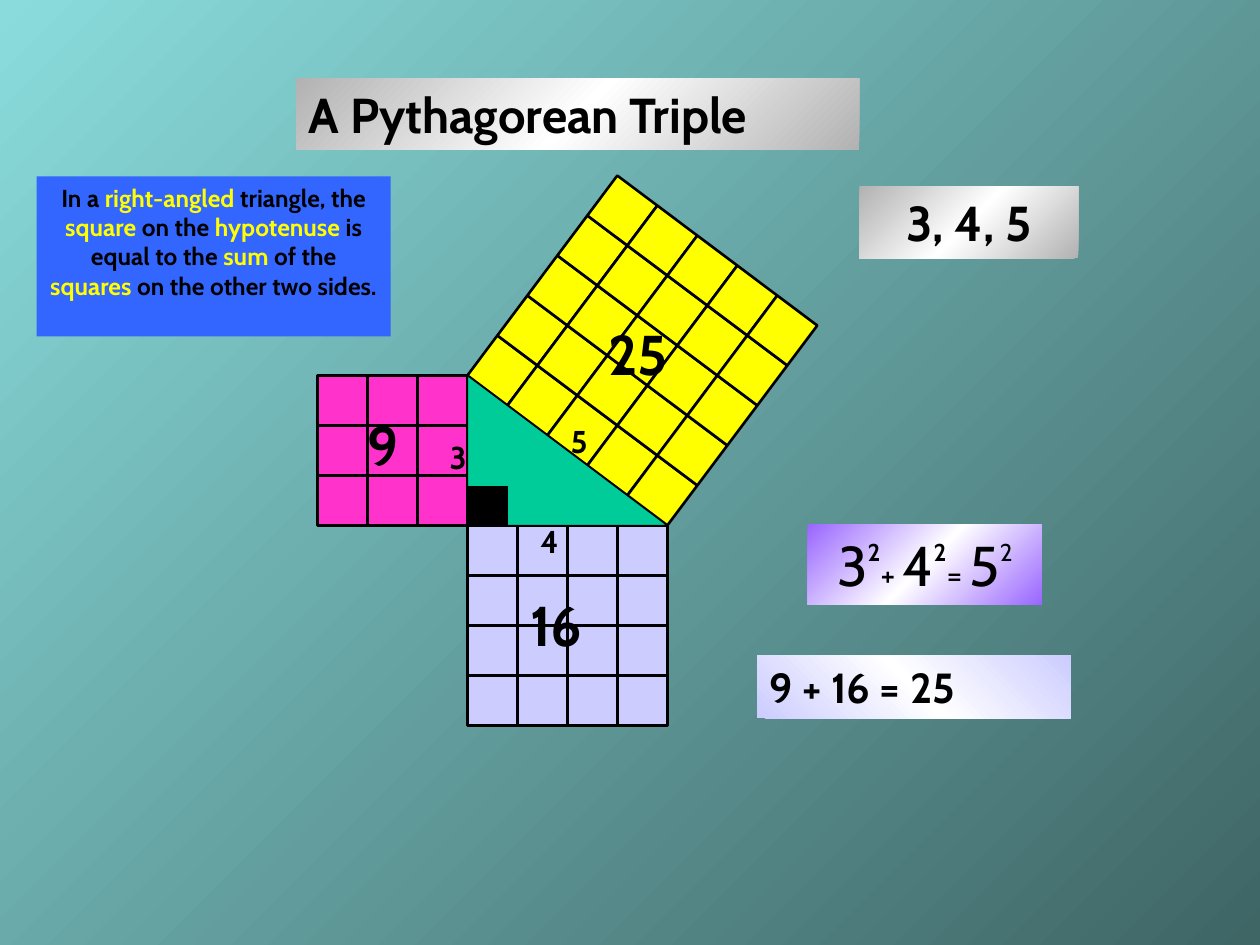
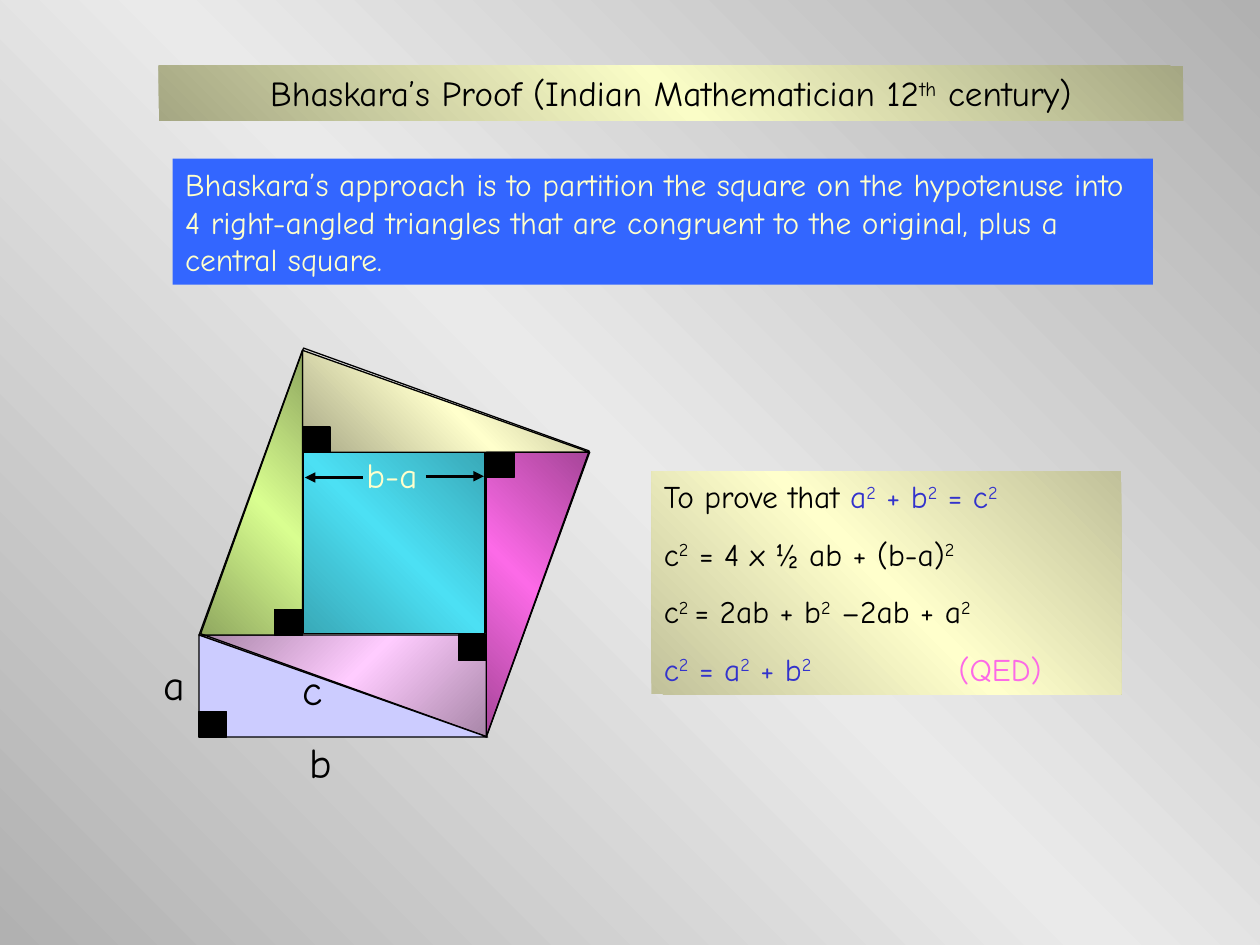
from itertools import cycle
from math import atan2, degrees

from lxml.etree import SubElement
from pptx import Presentation
from pptx.dml.color import RGBColor
from pptx.enum.shapes import MSO_CONNECTOR, MSO_SHAPE
from pptx.enum.text import MSO_ANCHOR, MSO_AUTO_SIZE, PP_ALIGN
from pptx.oxml.ns import qn
from pptx.util import Inches, Pt

COLOURS = {
    "black": "000000", "white": "FFFFFF", "yellow": "FFFF00", "blue": "3366FF",
    "pink": "FF33CC", "lilac": "CCCCFF", "green": "00CC99", "violet": "9966FF",
    "silver": "B2B2B2", "dark teal": "3F6565", "light teal": "8ADCDC",
    "grey": "B1B1B1", "pale grey": "EAEAEA", "cream": "FFFFCC", "indigo": "3333CC",
    "mauve": "A886A8", "rose": "FFCCFF", "plum": "A64598", "magenta": "FC6AE7",
    "olive": "8FA75F", "lime": "D9FE90", "khaki": "A8A886", "sand": "C1C19A",
    "title sand": "A5A783", "title cream": "FAFDC7", "sea": "39A9B8", "aqua": "4CE0F4",
}
LEFT, CENTRE = PP_ALIGN.LEFT, PP_ALIGN.CENTER
RECTANGLE, TRIANGLE = MSO_SHAPE.RECTANGLE, MSO_SHAPE.RIGHT_TRIANGLE


def paint(target, colours, angle=225, outline=0):
    """Fill a shape or background: no colour, one colour, or an even gradient."""
    if not colours:
        target.fill.background()
    elif len(colours) == 1:
        target.fill.solid()
        target.fill.fore_color.rgb = RGBColor.from_string(COLOURS[colours[0]])
    else:
        target.fill.gradient()
        target.fill.gradient_angle = 360 - angle
        stops = target.element.find(".//" + qn("a:gsLst"))
        stops.clear()
        for index, name in enumerate(colours):
            position = 100000 * index // (len(colours) - 1)
            stop = SubElement(stops, qn("a:gs"), pos=str(position))
            SubElement(stop, qn("a:srgbClr"), val=COLOURS[name])
    if hasattr(target, "line"):
        target.shadow.inherit = False
        if outline:
            target.line.color.rgb = RGBColor.from_string(COLOURS["black"])
            target.line.width = Pt(outline)
        else:
            target.line.fill.background()


def write(box, paragraphs, font, size, bold=False, align=LEFT):
    """Write paragraphs of (text, colour) spans; text between ^ marks is raised."""
    frame = box.text_frame
    frame.word_wrap = True
    frame.auto_size = MSO_AUTO_SIZE.NONE
    frame.vertical_anchor = MSO_ANCHOR.TOP
    for index, spans in enumerate(paragraphs):
        para = frame.add_paragraph() if index else frame.paragraphs[0]
        para.alignment = align
        para.space_before = Pt(11.25 if index else 0)
        for text, colour in spans:
            for part, piece in enumerate(text.split("^")):
                if not piece:
                    continue
                span = para.add_run()
                span.text = piece
                span.font.name, span.font.size, span.font.bold = font, Pt(size), bold
                span.font.color.rgb = RGBColor.from_string(COLOURS[colour])
                if part % 2:
                    span.font._element.set("baseline", "30000")


deck = Presentation()
deck.slide_width, deck.slide_height = Inches(10), Inches(7.5)
unit = deck.slide_width // 100  # the slide is a grid of 100 columns and 75 rows

# Pages: background, title band
pages = []
for background, angle, band, at, title, font, size, bold, align in [
    (["dark teal", "light teal"], 225, ["silver", "white", "silver"],
     (23.5, 6.2, 44.7, 5.7), "A Pythagorean Triple", "Cabin", 28, True, LEFT),
    (["grey", "pale grey", "grey"], 135, ["title sand", "title cream", "title sand"],
     (12.6, 5.2, 81.3, 4.4), "Bhaskara’s Proof (Indian Mathematician 12^th^ century)",
     "Comic Neue", 20, False, CENTRE),
]:
    page = deck.slides.add_slide(deck.slide_layouts[5])
    paint(page.background, background, angle)
    heading = page.shapes.title
    heading.left, heading.top, heading.width, heading.height = [int(n * unit) for n in at]
    paint(heading, band, angle)
    write(heading, [[(title, "black")]], font, size, bold, align)
    pages.append(page)
triple, proof = pages

# Slide 1: unit cells of the squares on the three sides
cell = 11.9 / 3
corner_x, corner_y = 37.1, 29.8
base_y = corner_y + 3 * cell
for count, x, y, (across, down), colour in [
    (3, corner_x - 3 * cell, corner_y, (1, 0), "pink"),
    (4, corner_x, base_y, (1, 0), "lilac"),
    (5, corner_x, corner_y, (0.6, -0.8), "yellow"),
]:
    for row in range(count):
        for column in range(count):
            middle_x = x + cell * ((column + 0.5) * across - (row + 0.5) * down)
            middle_y = y + cell * ((column + 0.5) * down + (row + 0.5) * across)
            at = (middle_x - cell / 2, middle_y - cell / 2, cell, cell)
            tile = triple.shapes.add_shape(RECTANGLE, *[int(n * unit) for n in at])
            tile.rotation = degrees(atan2(down, across)) % 360
            paint(tile, [colour], outline=1.5)

# Slide 1: right-angled triangle and its right-angle mark
for kind, at, colour in [
    (TRIANGLE, (corner_x, corner_y, 4 * cell, 3 * cell), "green"),
    (RECTANGLE, (corner_x, base_y - 3.1, 3.2, 3.1), "black"),
]:
    shape = triple.shapes.add_shape(kind, *[int(n * unit) for n in at])
    paint(shape, [colour], outline=0.75)

# Slide 1: text panels
theorem = ("In a |right-angled| triangle, the |square| on the |hypotenuse| is equal to "
           "the |sum |of the |squares| on the other two sides.")
formula = ["3", "2", "+ ", "4", "2", "= ", "5", "2"]
for at, colours, angle, spans, size, align in [
    ((2.9, 14, 28.1, 12.7), ["blue"], 0,
     list(zip(theorem.split("|"), cycle(["black", "yellow"]))), 14, CENTRE),
    ((68.2, 14.8, 17.4, 5.7), ["silver", "white", "silver"], 225,
     [("3, 4, 5", "black")], 28, CENTRE),
    ((60.1, 52, 24.9, 5), ["lilac", "white", "lilac"], 135,
     [("9 + 16 = 25", "black")], 24, LEFT),
    ((64.1, 41.6, 18.6, 6.4), ["violet", "white", "violet"], 225,
     [(text, "black") for text in formula], 32, CENTRE),
]:
    panel = triple.shapes.add_shape(RECTANGLE, *[int(n * unit) for n in at])
    paint(panel, colours, angle)
    write(panel, [spans], "Cabin", size, True, align)

# The last panel holds the formula: raised exponents and small signs
for index, span in enumerate(panel.text_frame.paragraphs[0].runs):
    raised = span.text == "2"
    span.font.bold = raised and index < len(formula) - 1
    span.font.size = Pt(24 if raised else 18 if span.text in ("+ ", "= ") else 32)
    if raised:
        span.font._element.set("baseline", "60000")

# Slide 2: central square, four triangles around it and their right-angle marks
outer = [(24, 27.8), (46.8, 35.9), (38.6, 58.5), (15.8, 50.4)]
inner = [(24, 35.9), (38.6, 35.9), (38.6, 50.4), (24, 50.4)]
mark_width, mark_height = 2.2, 2
mark_shifts = [(0, -1), (0, 0), (-1, 0), (-1, -1)]
triangle_fills = [("khaki", "cream", 135), ("plum", "magenta", 135),
                  ("mauve", "rose", 225), ("olive", "lime", 135)]
for index, (edge, centre, angle) in enumerate(triangle_fills):
    points = [(int(x * unit), int(y * unit))
              for x, y in (outer[index], outer[(index + 1) % 4], inner[index])]
    builder = proof.shapes.build_freeform(*points[0])
    builder.add_line_segments(points[1:], close=True)
    paint(builder.convert_to_shape(), [edge, centre, edge], angle, 0.75)

marks = [(x + right * mark_width, y + down * mark_height, mark_width, mark_height)
         for (x, y), (right, down) in zip(inner, mark_shifts)]
marks.append((15.8, 56.5, mark_width, mark_height))
for kind, at, colours, turn in [
    (RECTANGLE, (24.1, 35.9, 14.4, 14.4), ["sea", "aqua", "sea"], 0),
    (RECTANGLE, (19.3, 31, 24.1, 24.1), [], 19.8),
    (TRIANGLE, (15.8, 50.4, 22.9, 8.1), ["lilac"], 0),
    *[(RECTANGLE, mark, ["black"], 0) for mark in marks],
]:
    shape = proof.shapes.add_shape(kind, *[int(n * unit) for n in at])
    shape.rotation = turn
    paint(shape, colours, 135, 0.75)

# Slide 2: arrows measuring the central square
for ends in [(33.8, 37.8, 38.4, 37.8), (28.8, 37.9, 24.2, 37.9)]:
    arrow = proof.shapes.add_connector(MSO_CONNECTOR.STRAIGHT,
                                       *[int(n * unit) for n in ends])
    arrow.line.color.rgb = RGBColor.from_string(COLOURS["black"])
    arrow.line.width = Pt(1.5)
    SubElement(arrow.line._get_or_add_ln(), qn("a:tailEnd"), type="triangle")
    SubElement(arrow.element.spPr, qn("a:effectLst"))

# Slide 2: text panels
steps = [
    [("To prove that", "black"), (" a^2^ + b^2^ = c^2^", "indigo")],
    [("c^2^ = 4 x ½ ab + (b-a)^2^", "black")],
    [("c^2 ^= 2ab + b^2^ –2ab + a^2^", "black")],
    [("c^2^ = a^2^ + b^2^\t", "indigo"), ("(QED)", "magenta")],
]
approach = ("Bhaskara’s approach is to partition the square on the hypotenuse into 4 "
            "right-angled triangles that are congruent to the original, plus a central "
            "square.")
for at, colours, paragraphs in [
    ((13.7, 12.6, 77.8, 10), ["blue"], [[(approach, "cream")]]),
    ((51.7, 37.4, 37.3, 17.7), ["sand", "cream", "sand"], steps),
]:
    panel = proof.shapes.add_shape(RECTANGLE, *[int(n * unit) for n in at])
    paint(panel, colours, 135)
    write(panel, paragraphs, "Comic Neue", 18)

# The last step of the proof sets its closing word at a tab stop
tabs = SubElement(panel.text_frame.paragraphs[-1]._p.get_or_add_pPr(), qn("a:tabLst"))
SubElement(tabs, qn("a:tab"), pos=str(int(23.4 * unit)), algn="l")

# Labels of areas and sides on both slides
for page, font, bold, labels in [
    (triple, "Cabin", True, [
        ("25", (47.3, 24.9, 8, 6.4), 32, "black"),
        ("9", (28.2, 32.1, 4.9, 6.4), 32, "black"),
        ("16", (41.1, 46.4, 8, 6.4), 32, "black"),
        ("3", (34.7, 34.3, 3.2, 4), 18, "black"),
        ("4", (41.9, 40.9, 3.2, 4), 18, "black"),
        ("5", (44.3, 33, 3.2, 4), 18, "black")]),
    (proof, "Comic Neue", False, [
        ("a", (12, 51.8, 4.5, 5), 24, "black"),
        ("b", (23.6, 58, 4.5, 5), 24, "black"),
        ("c", (23, 52.2, 4.6, 5), 24, "black"),
        ("b-a", (28.1, 35.5, 7.1, 4.4), 20, "cream")]),
]:
    for text, at, size, colour in labels:
        label = page.shapes.add_textbox(*[int(n * unit) for n in at])
        write(label, [[(text, colour)]], font, size, bold)

deck.save("out.pptx")
